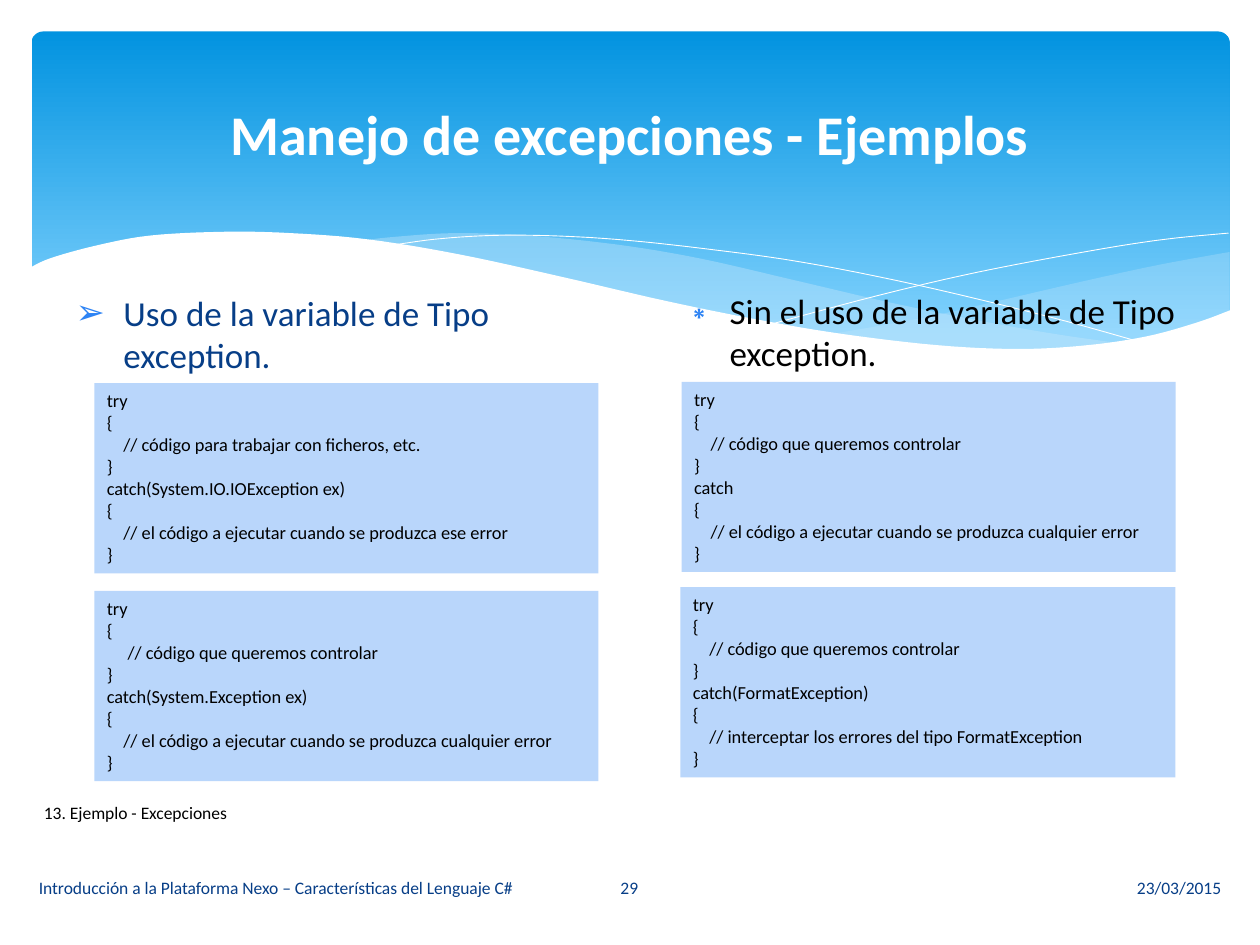
from lxml import etree
from pptx import Presentation
from pptx.dml.color import RGBColor
from pptx.enum.shapes import MSO_SHAPE
from pptx.enum.text import MSO_ANCHOR, MSO_AUTO_SIZE, PP_ALIGN
from pptx.oxml.ns import qn
from pptx.util import Inches, Pt

ROUNDED, RECTANGLE = MSO_SHAPE.ROUNDED_RECTANGLE, MSO_SHAPE.RECTANGLE
TOP, MIDDLE = MSO_ANCHOR.TOP, MSO_ANCHOR.MIDDLE
LEFT, CENTER, RIGHT = PP_ALIGN.LEFT, PP_ALIGN.CENTER, PP_ALIGN.RIGHT
FIXED = MSO_AUTO_SIZE.NONE

SKY = RGBColor(0x02, 0x93, 0xE0)
LIGHT_SKY = RGBColor(0x83, 0xD3, 0xFE)
MIST = RGBColor(0xC6, 0xE7, 0xFC)
CODE_BLUE = RGBColor(0xB9, 0xD6, 0xFB)
BULLET_BLUE = RGBColor(0x2D, 0x83, 0xF4)
NAVY = RGBColor(0x07, 0x3E, 0x87)
WHITE = RGBColor(0xFF, 0xFF, 0xFF)
BLACK = RGBColor(0x00, 0x00, 0x00)

COLUMNS, ROWS = 100, 75
CELL = Inches(0.1)
CURVE_STEPS = 6

RIGHT_MIST_TOP = [(97.6, 20), (92.1, 21), (86.1, 22.3), (77.9, 24.2), (72.9, 25.3), (66.1, 26.5)]
RIGHT_MIST_BOTTOM = [(66.1, 26.5), (71.9, 27.2), (76.9, 27.7), (81.4, 27.8), (86.3, 27.5),
                     (91.3, 26.7), (94.9, 25.7), (97.6, 24.7)]
WIDE_MIST_TOP = [(89.3, 27.3), (83.7, 26.5), (77.5, 25.4), (70.6, 24), (62.9, 22.2), (55.5, 20.5),
                 (48.9, 19.4), (42, 18.7), (36.1, 18.5), (31.3, 18.8), (28.6, 19.1)]
WIDE_MIST_BOTTOM = [(28.6, 19.1), (34.2, 19.9), (40.4, 21.1), (44.9, 22.2), (53, 24), (60.1, 25.5),
                    (66.5, 26.6), (72.2, 27.4), (78.5, 27.8), (84.8, 27.7), (89.3, 27.3)]
LONG_LINE = [(30.9, 19.5), (34.4, 19), (38.7, 18.7), (43.3, 18.7), (48.9, 19), (55.6, 19.7),
             (63.6, 20.8), (72.7, 22.6), (83.1, 25.1), (90.7, 27.2)]
SHORT_LINE = [(61.3, 25.7), (69.5, 23.5), (77.6, 21.6), (86.6, 19.9), (92.4, 19), (97.5, 18.5)]
PAPER_TOP = [(2.3, 21.3), (4, 20.5), (7.6, 19.5), (11.9, 18.7), (17.7, 18.4), (23, 18.5),
             (29.2, 19), (36.5, 20.2), (44.7, 22), (52.9, 23.9), (60.3, 25.4), (66.8, 26.5),
             (74.4, 27.4), (80.9, 27.7), (86.3, 27.4), (91, 26.7), (95, 25.6), (97.7, 24.6)]
PAPER_BASE = [(97.7, 32.9), (2.3, 32.9)]

CODE_TOKEN = "//"
CODE_BLOCKS = [
    ((7.5, 30.4, 40), "// código para trabajar con ficheros, etc.",
     "catch(System.IO.IOException ex)",
     "// el código a ejecutar cuando se produzca ese error", 1.32),
    ((7.5, 46.9, 40), "// código que queremos controlar", "catch(System.Exception ex)",
     "// el código a ejecutar cuando se produzca cualquier error", 1.65),
    ((54.1, 30.3, 39.2), "// código que queremos controlar", "catch",
     "// el código a ejecutar cuando se produzca cualquier error", 1.32),
    ((54, 46.6, 39.3), "// código que queremos controlar", "catch(FormatException)",
     "// interceptar los errores del tipo FormatException", 1.32),
]
CODE_HEIGHT = 15.1
COMMENT_INDENT = 1.32


def cells(*values):
    return [round(value * CELL) for value in values]


def set_values(target, values):
    for name, value in values.items():
        setattr(target, name, value)


def write(paragraph, text, size, color, bold=False, align=LEFT):
    paragraph.alignment = align
    run = paragraph.add_run()
    run.text = text
    set_values(run.font, {"name": "Calibri", "size": Pt(size), "bold": bold})
    run.font.color.rgb = color


def place(shape, box):
    set_values(shape, dict(zip(("left", "top", "width", "height"), cells(*box))))


def set_frame(shape, anchor, wrap=True):
    set_values(shape.text_frame, {"auto_size": FIXED, "word_wrap": wrap,
                                  "vertical_anchor": anchor})


def paint(shape, color, opacity=100):
    shape.shadow.inherit = False
    shape.line.fill.background()
    shape.fill.solid()
    shape.fill.fore_color.rgb = color
    if opacity < 100:
        fill_color = shape.element.spPr.find(qn("a:solidFill"))[0]
        etree.SubElement(fill_color, qn("a:alpha"), val=str(opacity * 1000))


def smooth_curve(anchors):
    padded = [anchors[0], *anchors, anchors[-1]]
    points = [anchors[0]]
    for before, start, end, after in zip(padded, padded[1:], padded[2:], padded[3:]):
        for step in range(1, CURVE_STEPS + 1):
            t = step / CURVE_STEPS
            points.append(tuple(
                b + (c - a) * t / 2 + (2 * a - 5 * b + 4 * c - d) * t ** 2 / 2
                + (3 * b - a - 3 * c + d) * t ** 3 / 2
                for a, b, c, d in zip(before, start, end, after)))
    return points


def add_outline(slide, points, closed):
    first, *others = [cells(*point) for point in points]
    builder = slide.shapes.build_freeform(*first)
    builder.add_line_segments(others, close=closed)
    return builder.convert_to_shape()


def add_wave(slide, points, color, opacity=100):
    paint(add_outline(slide, points, True), color, opacity)


def add_wave_line(slide, anchors):
    shape = add_outline(slide, smooth_curve(anchors), False)
    shape.shadow.inherit = False
    shape.fill.background()
    shape.line.color.rgb = WHITE
    shape.line.width = Pt(0.5)


def add_banner(slide):
    shape = slide.shapes.add_shape(ROUNDED, *cells(2.5, 2.5, 95.1, 27))
    shape.adjustments[0] = 0.034
    shape.shadow.inherit = False
    shape.line.fill.background()
    shape.fill.gradient()
    shape.fill.gradient_angle = 270
    for stop, position, color in zip(shape.fill.gradient_stops, (0, 0.9), (SKY, LIGHT_SKY)):
        stop.position = position
        stop.color.rgb = color


def add_background(slide):
    add_banner(slide)
    add_wave(slide, smooth_curve(RIGHT_MIST_TOP) + smooth_curve(RIGHT_MIST_BOTTOM), MIST, 29)
    add_wave(slide, smooth_curve(WIDE_MIST_TOP) + smooth_curve(WIDE_MIST_BOTTOM), MIST, 40)
    for anchors in (LONG_LINE, SHORT_LINE):
        add_wave_line(slide, anchors)
    add_wave(slide, smooth_curve(PAPER_TOP) + PAPER_BASE, WHITE)


def bring_to_front(shape):
    shape.element.getparent().append(shape.element)


def fill_title(shape, text):
    bring_to_front(shape)
    place(shape, (5, 6.3, 90, 8.6))
    set_frame(shape, MIDDLE)
    write(shape.text_frame.paragraphs[0], text, 32, WHITE, True, CENTER)


def fill_body(shape, box, text, bullet, color):
    bring_to_front(shape)
    place(shape, box)
    set_frame(shape, TOP)
    paragraph = shape.text_frame.paragraphs[0]
    write(paragraph, text, 20, color)
    paragraph.space_before = Pt(4)
    properties = paragraph._p.get_or_add_pPr()
    indent = Inches(0.38)
    properties.set("marL", str(indent))
    properties.set("indent", str(-indent))
    bullet_color = etree.SubElement(properties, qn("a:buClr"))
    etree.SubElement(bullet_color, qn("a:srgbClr"), val=str(BULLET_BLUE))
    etree.SubElement(properties, qn("a:buChar"), char=bullet)


def add_code(slide, box, action, catch, handler, action_indent):
    shape = slide.shapes.add_shape(RECTANGLE, *cells(*box, CODE_HEIGHT))
    paint(shape, CODE_BLUE)
    set_frame(shape, TOP)
    frame = shape.text_frame
    lines = ["try", "{", action, "}", catch, "{", handler, "}"]
    for index, line in enumerate(lines):
        paragraph = frame.add_paragraph() if index else frame.paragraphs[0]
        write(paragraph, line, 10.5, BLACK)
        if line.startswith(CODE_TOKEN):
            indent = action_indent if line == action else COMMENT_INDENT
            paragraph._p.get_or_add_pPr().set("marL", str(cells(indent)[0]))


def add_label(slide, box, text, color, align=LEFT, anchor=MIDDLE, wrap=True):
    shape = slide.shapes.add_textbox(*cells(*box))
    set_frame(shape, anchor, wrap)
    write(shape.text_frame.paragraphs[0], text, 10, color, align=align)


def main():
    presentation = Presentation()
    presentation.slide_width = COLUMNS * CELL
    presentation.slide_height = ROWS * CELL
    slide = presentation.slides.add_slide(presentation.slide_layouts[3])
    title, left_body, right_body = slide.placeholders
    add_background(slide)
    fill_body(left_body, (5, 22.6, 44.2, 41.2), "Uso de la variable de Tipo exception.", "➢", NAVY)
    fill_body(right_body, (53.1, 22.5, 44.2, 41.2),
              "Sin el uso de la variable de Tipo exception.", "∗", BLACK)
    fill_title(title, "Manejo de excepciones - Ejemplos")
    for block in CODE_BLOCKS:
        add_code(slide, *block)
    add_label(slide, (2.5, 63.2, 16.8, 2.7), "13. Ejemplo - Excepciones", BLACK,
              anchor=TOP, wrap=False)
    add_label(slide, (2.1, 68.4, 41.4, 4),
              "Introducción a la Plataforma Nexo – Características del Lenguaje C#", NAVY)
    add_label(slide, (43.6, 68.4, 12.7, 4), "29", NAVY, CENTER)
    add_label(slide, (56.5, 68.4, 41.4, 4), "23/03/2015", NAVY, RIGHT)
    presentation.save("out.pptx")


if __name__ == "__main__":
    main()
